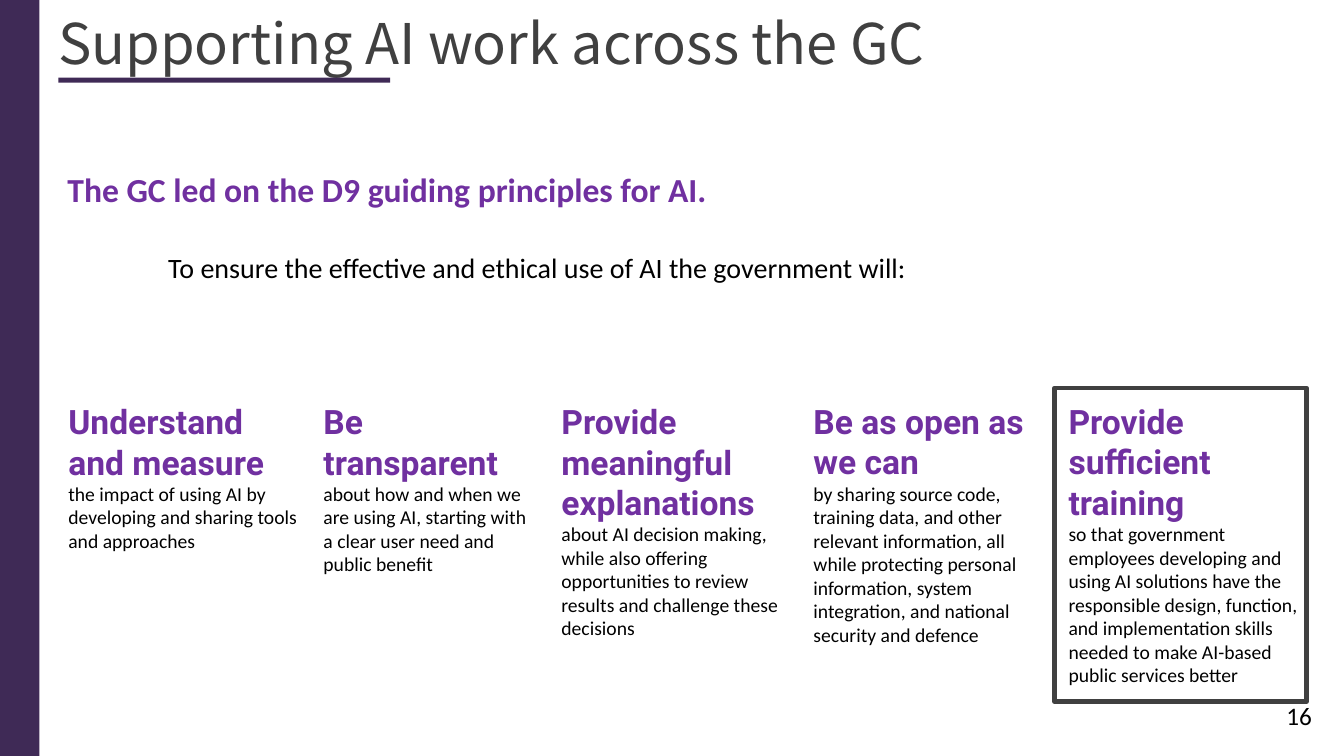
import pptx
import pptx.dml.color
import pptx.enum.shapes
import pptx.util
from dataclasses import dataclass
from pptx.util import Inches

COLOURS = {"band": "3F2A56", "accent": "7030A0", "grey": "404040",
           "black": "000000", "white": "FFFFFF"}


@dataclass
class Principle:
    left: float
    width: float
    height: float
    heading: str
    detail: str


PRINCIPLES = [
    Principle(0.58, 2.53, 1.62, "Understand and measure",
              "the impact of using AI by developing and sharing tools and approaches"),
    Principle(3.11, 2.34, 1.85, "Be transparent",
              "about how and when we are using AI, starting with a clear user need "
              "and public benefit"),
    Principle(5.47, 2.5, 2.49, "Provide meaningful explanations",
              "about AI decision making, while also offering opportunities to review "
              "results and challenge these decisions"),
    Principle(7.97, 2.53, 2.56, "Be as open as we can",
              "by sharing source code, training data, and other relevant information, "
              "all while protecting personal information, system integration, and "
              "national security and defence"),
    Principle(10.5, 2.5, 2.96, "Provide sufficient training",
              "so that government employees developing and using AI solutions have the "
              "responsible design, function, and implementation skills needed to make "
              "AI-based public services better"),
]


def colour(name: str) -> pptx.dml.color.RGBColor:
    return pptx.dml.color.RGBColor.from_string(COLOURS[name])


def add_rectangle(slide, left: float, top: float, width: float, height: float,
                  fill: str, outline: str = "", line_width: float = 0) -> None:
    rectangle = slide.shapes.add_shape(
        pptx.enum.shapes.MSO_SHAPE.RECTANGLE,
        Inches(left), Inches(top), Inches(width), Inches(height))
    rectangle.shadow.inherit = False
    rectangle.fill.solid()
    rectangle.fill.fore_color.rgb = colour(fill)
    if outline:
        rectangle.line.color.rgb = colour(outline)
        rectangle.line.width = pptx.util.Pt(line_width)
    else:
        rectangle.line.fill.background()


def add_text_frame(slide, left: float, top: float, width: float, height: float):
    frame = slide.shapes.add_textbox(
        Inches(left), Inches(top), Inches(width), Inches(height)).text_frame
    frame.word_wrap = True
    return frame


def write(paragraph, text: str, *, size: float, font: str = "Calibri",
          fill: str = "black", bold: bool = False, before: float = 0,
          indent: float = 0, spacing: float = 1) -> None:
    if indent:
        properties = paragraph._p.get_or_add_pPr()
        properties.set("marL", str(Inches(indent)))
        properties.set("indent", "0")
    if before:
        paragraph.space_before = pptx.util.Pt(before)
    paragraph.line_spacing = spacing
    run = paragraph.add_run()
    run.text = text
    run.font.size = pptx.util.Pt(size)
    run.font.name = font
    run.font.bold = bold
    run.font.color.rgb = colour(fill)


def add_principle(slide, principle: Principle) -> None:
    frame = add_text_frame(slide, principle.left, 3.93, principle.width, principle.height)
    write(frame.paragraphs[0], principle.heading, size=24, font="Roboto",
          fill="accent", bold=True)
    write(frame.add_paragraph(), principle.detail, size=14)


def main() -> None:
    presentation = pptx.Presentation()
    presentation.slide_width = Inches(13.33)
    presentation.slide_height = Inches(7.5)
    slide = presentation.slides.add_slide(presentation.slide_layouts[6])

    # Frame around the training principle
    add_rectangle(slide, 10.46, 3.85, 2.5, 3.11, "white", "grey", 3.25)

    # Title
    title = add_text_frame(slide, 0.48, 0.11, 12.13, 0.77)
    write(title.paragraphs[0], "Supporting AI work across the GC", size=40,
          font="Noto Sans CJK JP", fill="grey", spacing=0.9)

    # Introduction
    introduction = add_text_frame(slide, 0.57, 1.63, 8.98, 1.25)
    write(introduction.paragraphs[0], "The GC led on the D9 guiding principles for AI.",
          size=24, fill="accent", bold=True)
    write(introduction.add_paragraph(),
          "To ensure the effective and ethical use of AI the government will:",
          size=20, before=29, indent=1)

    # Five principles
    for principle in PRINCIPLES:
        add_principle(slide, principle)

    # Slide number
    number = add_text_frame(slide, 12.66, 6.9, 0.67, 0.4)
    write(number.paragraphs[0], "16", size=18)

    # Side band and title underline
    add_rectangle(slide, 0, 0, 0.39, 7.5, "band")
    add_rectangle(slide, 0.58, 0.77, 3.29, 0.05, "band")

    presentation.save("out.pptx")


if __name__ == "__main__":
    main()
